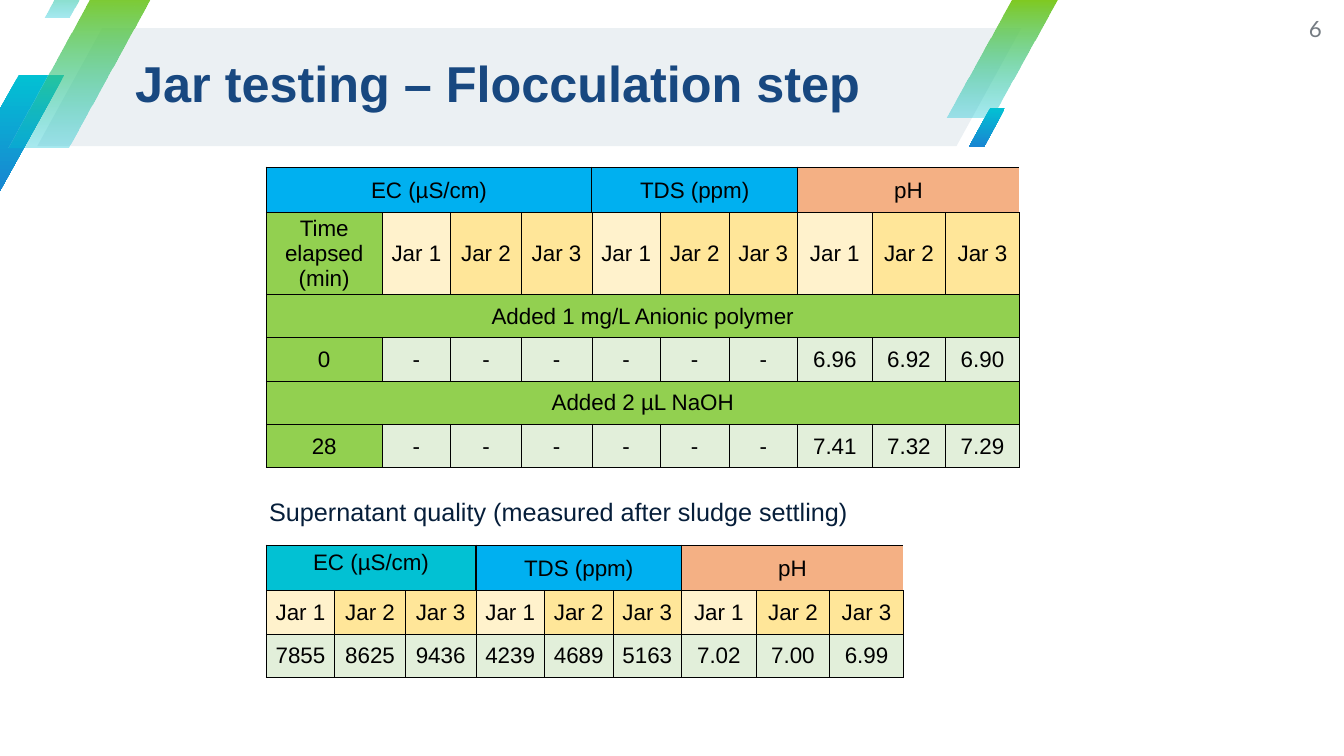
from dataclasses import dataclass

from lxml import etree
from pptx import Presentation
from pptx.dml.color import RGBColor
from pptx.enum.shapes import MSO_SHAPE
from pptx.enum.text import MSO_ANCHOR, PP_ALIGN
from pptx.oxml.ns import qn
from pptx.util import Inches, Pt

PARALLELOGRAM = MSO_SHAPE.PARALLELOGRAM
MIDDLE, TOP = MSO_ANCHOR.MIDDLE, MSO_ANCHOR.TOP
LEFT, CENTER, RIGHT = PP_ALIGN.LEFT, PP_ALIGN.CENTER, PP_ALIGN.RIGHT
PLAIN_TABLE_STYLE = "{2D5ABB26-0587-4C30-8999-92F81FD0307C}"
SIDES = "LRTB"


@dataclass(frozen=True)
class Theme:
    font: str = "Arial"
    number_font: str = "Lato"
    title: str = "184880"
    caption: str = "061E3A"
    page_number: str = "757C83"
    ink: str = "000000"
    ribbon: str = "EBF0F3"
    leaf: str = "7FCA20"
    teal: str = "02C1D3"
    ocean: str = "1985D2"
    blue: str = "00B0F0"
    peach: str = "F4B084"
    green: str = "92D050"
    cream: str = "FFF2CC"
    yellow: str = "FFE699"
    mint: str = "E2EFDA"
    title_size: int = 36
    caption_size: int = 18
    body_size: int = 16
    thin: float = 0.5
    thick: float = 1
    fade: int = 34


THEME = Theme()


@dataclass(frozen=True)
class Entry:
    text: str
    fill: str
    span: int = 1
    anchor: MSO_ANCHOR = MIDDLE
    insets: tuple = (0.01, 0.01, 0.01, 0)


def rgb(color):
    return RGBColor.from_string(color)


def style_para(para, size, color, font=THEME.font, align=LEFT, bold=False):
    para.alignment = align
    para.font.name = font
    para.font.size = Pt(size)
    para.font.bold = bold
    para.font.color.rgb = rgb(color)


def set_insets(holder, insets):
    left, top, right, bottom = map(Inches, insets)
    holder.margin_left, holder.margin_top = left, top
    holder.margin_right, holder.margin_bottom = right, bottom


def add_slant(page, place, colors, skew=0.59, opacity=None):
    shape = page.shapes.add_shape(PARALLELOGRAM, *map(Inches, place))
    shape.adjustments[0] = skew
    shape.shadow.inherit = False
    shape.line.fill.background()
    if len(colors) == 1:
        shape.fill.solid()
        shape.fill.fore_color.rgb = rgb(colors[0])
        return
    shape.fill.gradient()
    shape.fill.gradient_angle = 270
    for stop, color in zip(shape.fill.gradient_stops, colors):
        stop.color.rgb = rgb(color)
    if opacity:
        last = list(shape._element.spPr.iter(qn("a:srgbClr")))[-1]
        etree.SubElement(last, qn("a:alpha"), val=str(opacity * 1000))


def add_decoration(page):
    water = (THEME.teal, THEME.ocean)
    leaf = (THEME.leaf, THEME.teal)
    add_slant(page, (0.37, 0.28, 9.76, 1.17), (THEME.ribbon,), skew=0.55)
    add_slant(page, (-0.46, 0.74, 1.1, 1.17), water)
    for place in ((9.39, 0, 1.1, 1.17), (0.08, -0.1, 1.46, 1.56), (0.44, -0.48, 0.61, 0.65)):
        add_slant(page, place, leaf, opacity=THEME.fade)
    add_slant(page, (9.61, 1.07, 0.36, 0.39), water)


def add_title(page, text):
    title = page.shapes.title
    page.shapes._spTree.append(title._element)
    title.left, title.top, title.width, title.height = map(Inches, (1.34, 0.26, 8.79, 1.19))
    frame = title.text_frame
    frame.text = text
    frame.vertical_anchor = MIDDLE
    set_insets(frame, (0, 0, 0, 0))
    para = frame.paragraphs[0]
    para.line_spacing = 0.9
    style_para(para, THEME.title_size, THEME.title, bold=True)


def add_text(page, place, text, size, color, font=THEME.font, align=LEFT, anchor=TOP, insets=None):
    frame = page.shapes.add_textbox(*map(Inches, place)).text_frame
    frame.word_wrap = False
    frame.vertical_anchor = anchor
    if insets:
        set_insets(frame, insets)
    frame.text = text
    style_para(frame.paragraphs[0], size, color, font, align)


def add_borders(cell, width, sides):
    properties = cell._tc.get_or_add_tcPr()
    for side in SIDES:
        line = etree.SubElement(properties, qn(f"a:ln{side}"), w=str(Pt(width)))
        if side in sides:
            fill = etree.SubElement(line, qn("a:solidFill"))
            etree.SubElement(fill, qn("a:srgbClr"), val=THEME.ink)
        else:
            etree.SubElement(line, qn("a:noFill"))


def fill_cell(cell, entry, width, sides):
    add_borders(cell, width, sides)
    cell.fill.solid()
    cell.fill.fore_color.rgb = rgb(entry.fill)
    cell.vertical_anchor = entry.anchor
    set_insets(cell, entry.insets)
    cell.text = entry.text
    style_para(cell.text_frame.paragraphs[0], THEME.body_size, THEME.ink, align=CENTER)


def add_grid(page, left, top, widths, rows):
    heights = [0.45] + [0.43] * (len(rows) - 1)
    place = map(Inches, (left, top, sum(widths), sum(heights)))
    table = page.shapes.add_table(len(rows), len(widths), *place).table
    table._tbl.tblPr.find(qn("a:tableStyleId")).text = PLAIN_TABLE_STYLE
    table.first_row = table.horz_banding = False
    for column, width in zip(table.columns, widths):
        column.width = Inches(width)
    for row, height in zip(table.rows, heights):
        row.height = Inches(height)
    for row_index, entries in enumerate(rows):
        start = 0
        for entry in entries:
            end = start + entry.span
            cell = table.cell(row_index, start)
            if entry.span > 1:
                cell.merge(table.cell(row_index, end - 1))
            header = row_index == 0
            sides = "LTB" if header and end == len(widths) else SIDES
            fill_cell(cell, entry, THEME.thick if header else THEME.thin, sides)
            start = end


def readings(values):
    return [Entry(value, THEME.mint) for value in values]


def main():
    deck = Presentation()
    deck.slide_width, deck.slide_height = Inches(13.33), Inches(7.5)
    page = deck.slides.add_slide(deck.slide_layouts[5])
    add_decoration(page)
    add_title(page, "Jar testing – Flocculation step")
    add_text(page, (12.48, 0, 0.63, 0.57), "6", THEME.body_size, THEME.page_number,
             THEME.number_font, RIGHT, MIDDLE, (0, 0, 0, 0))

    jar_widths = [0.68, 0.7, 0.7] + [0.68] * 3 + [0.74, 0.73, 0.73]
    jars = [Entry("Jar 1", THEME.cream), Entry("Jar 2", THEME.yellow),
            Entry("Jar 3", THEME.yellow)] * 3
    shared_headers = [Entry("TDS (ppm)", THEME.blue, 3), Entry("pH", THEME.peach, 3)]
    unmeasured = ["-"] * 6

    add_grid(page, 2.64, 1.66, [1.15] + jar_widths, [
        [Entry("EC (µS/cm)", THEME.blue, 4)] + shared_headers,
        [Entry("Time elapsed (min)", THEME.green)] + jars,
        [Entry("Added 1 mg/L Anionic polymer", THEME.green, 10)],
        [Entry("0", THEME.green)] + readings(unmeasured + ["6.96", "6.92", "6.90"]),
        [Entry("Added 2 µL NaOH", THEME.green, 10)],
        [Entry("28", THEME.green)] + readings(unmeasured + ["7.41", "7.32", "7.29"]),
    ])
    add_grid(page, 2.64, 5.41, jar_widths, [
        [Entry("EC (µS/cm)", THEME.teal, 3, TOP, (0.1, 0.05, 0.1, 0.05))] + shared_headers,
        jars,
        readings(["7855", "8625", "9436", "4239", "4689", "5163", "7.02", "7.00", "6.99"]),
    ])
    add_text(page, (2.57, 4.87, 5.99, 0.4), "Supernatant quality (measured after sludge settling)",
             THEME.caption_size, THEME.caption)
    deck.save("out.pptx")


if __name__ == "__main__":
    main()
